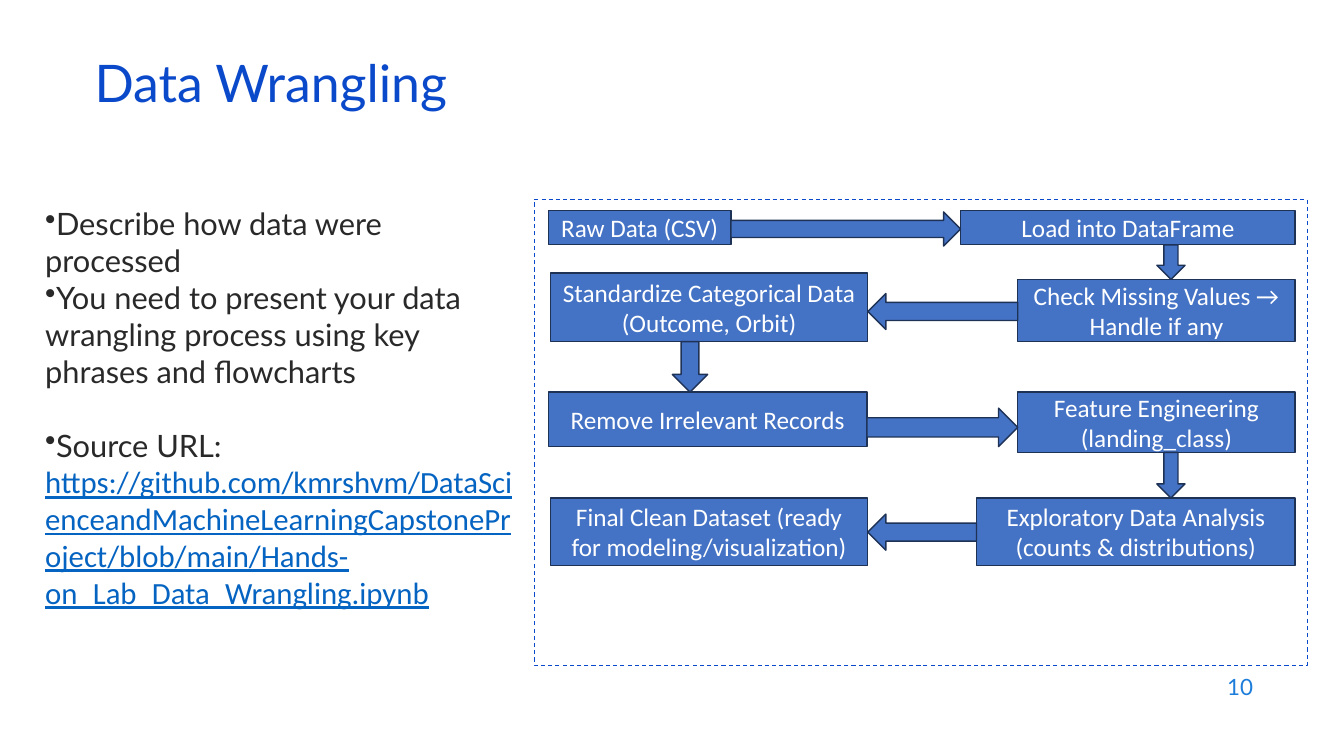
from pptx import Presentation
from pptx.dml.color import RGBColor
from pptx.enum.dml import MSO_LINE
from pptx.enum.shapes import MSO_SHAPE
from pptx.enum.text import MSO_ANCHOR, PP_ALIGN
from pptx.oxml.xmlchemy import OxmlElement
from pptx.util import Cm, Pt

TITLE_BLUE = RGBColor(0x0B, 0x49, 0xCB)
NUMBER_BLUE = RGBColor(0x1C, 0x7D, 0xDB)
LINK_BLUE = RGBColor(0x05, 0x63, 0xC1)
INK = RGBColor(0x29, 0x29, 0x29)
STEP_FILL = RGBColor(0x44, 0x72, 0xC4)
STEP_LINE = RGBColor(0x1E, 0x32, 0x56)
WHITE = RGBColor(0xFF, 0xFF, 0xFF)

# Content: each bullet is (text, link, space before in points)
TITLE = "Data Wrangling"
PAGE_NUMBER = "10"
LINK = ("https://github.com/kmrshvm/DataScienceandMachineLearningCapstoneProject"
        "/blob/main/Hands-on_Lab_Data_Wrangling.ipynb")
BULLETS = [
    ("Describe how data were processed", "", 0),
    ("You need to present your data wrangling process using key phrases and flowcharts", "", 0),
    ("Source URL: ", LINK, 26.4),
]

# Steps in flow order: text, left, top, width, height in cm
STEPS = [
    ("Raw Data (CSV)", 13.82, 5.31, 4.6, 0.86),
    ("Load into DataFrame", 24.21, 5.31, 8.43, 0.86),
    ("Check Missing Values → Handle if any", 25.65, 7.04, 6.99, 1.57),
    ("Standardize Categorical Data (Outcome, Orbit)", 13.87, 6.88, 8, 1.73),
    ("Remove Irrelevant Records", 13.82, 9.88, 8.03, 1.37),
    ("Feature Engineering (landing_class)", 25.65, 9.88, 6.99, 1.52),
    ("Exploratory Data Analysis (counts & distributions)", 24.61, 12.55, 8.03, 1.7),
    ("Final Clean Dataset (ready for modeling/visualization)", 13.87, 12.55, 8, 1.7),
]
# Arrow from each step to the next: direction, centre line, thickness in cm
ARROWS = [
    ("right", 5.77, 0.86), ("down", 29.51, 0.71), ("left", 7.85, 0.91),
    ("down", 17.39, 0.89), ("right", 10.77, 0.97), ("down", 29.51, 0.71),
    ("left", 13.41, 0.91),
]
ARROW_SHAPES = {"right": MSO_SHAPE.RIGHT_ARROW, "left": MSO_SHAPE.LEFT_ARROW,
                "down": MSO_SHAPE.DOWN_ARROW}


def add_span(para, text, size, color, font="Lato"):
    span = para.add_run()
    span.text = text
    span.font.name, span.font.size = font, Pt(size)
    span.font.color.rgb = color
    return span


def add_text_box(page, left, top, width, height):
    frame = page.shapes.add_textbox(Cm(left), Cm(top), Cm(width), Cm(height)).text_frame
    frame.word_wrap = True
    return frame


def add_flow_shape(page, kind, left, top, width, height):
    shape = page.shapes.add_shape(kind, Cm(left), Cm(top), Cm(width), Cm(height))
    shape.shadow.inherit = False
    shape.fill.solid()
    shape.fill.fore_color.rgb = STEP_FILL
    shape.line.color.rgb = STEP_LINE
    shape.line.width = Pt(1)
    return shape


def arrow_bounds(direction, centre, thickness, start, end):
    _, left, top, width, height = start
    _, next_left, next_top, next_width, _ = end
    across = centre - thickness / 2
    if direction == "down":
        return across, top + height, thickness, next_top - top - height
    if direction == "right":
        return left + width, across, next_left - left - width, thickness
    return next_left + next_width, across, left - next_left - next_width, thickness


def main():
    deck = Presentation()
    deck.slide_width, deck.slide_height = Cm(33.87), Cm(19.05)
    page = deck.slides.add_slide(deck.slide_layouts[5])

    # Title
    title = page.shapes.title
    title.left, title.top, title.width, title.height = Cm(2.13), Cm(1.5), Cm(29.21), Cm(1.52)
    title.text_frame.vertical_anchor = MSO_ANCHOR.MIDDLE
    para = title.text_frame.paragraphs[0]
    para.alignment, para.line_spacing = PP_ALIGN.LEFT, 0.7
    add_span(para, TITLE, 37, TITLE_BLUE)

    # Bullets
    frame = add_text_box(page, 0.89, 5.03, 12.6, 12.8)
    for index, (text, link, gap) in enumerate(BULLETS):
        para = frame.paragraphs[0] if index == 0 else frame.add_paragraph()
        bullet = OxmlElement("a:buChar")
        bullet.set("char", "•")
        para._p.get_or_add_pPr().append(bullet)
        para.space_before, para.line_spacing = Pt(gap), 1.0
        add_span(para, text, 22, INK)
        if link:
            add_span(para, link, 22, LINK_BLUE, "Calibri").font.underline = True

    # Dashed frame around the flowchart
    border = page.shapes.add_shape(MSO_SHAPE.RECTANGLE, Cm(13.46), Cm(5.03), Cm(19.48), Cm(11.73))
    border.shadow.inherit = False
    border.fill.background()
    border.line.color.rgb = TITLE_BLUE
    border.line.width = Pt(0.75)
    border.line.dash_style = MSO_LINE.DASH

    # Steps
    for text, *bounds in STEPS:
        box = add_flow_shape(page, MSO_SHAPE.RECTANGLE, *bounds)
        box.text_frame.word_wrap = True
        box.text_frame.vertical_anchor = MSO_ANCHOR.MIDDLE
        para = box.text_frame.paragraphs[0]
        para.alignment = PP_ALIGN.CENTER
        add_span(para, text, 18, WHITE, "Calibri")

    # Arrows between consecutive steps
    for arrow, start, end in zip(ARROWS, STEPS, STEPS[1:]):
        add_flow_shape(page, ARROW_SHAPES[arrow[0]], *arrow_bounds(*arrow, start, end))

    # Page number
    frame = add_text_box(page, 24.21, 16.74, 7.62, 1.12)
    frame.vertical_anchor = MSO_ANCHOR.MIDDLE
    frame.paragraphs[0].alignment = PP_ALIGN.RIGHT
    add_span(frame.paragraphs[0], PAGE_NUMBER, 16, NUMBER_BLUE)

    deck.save("out.pptx")


if __name__ == "__main__":
    main()
